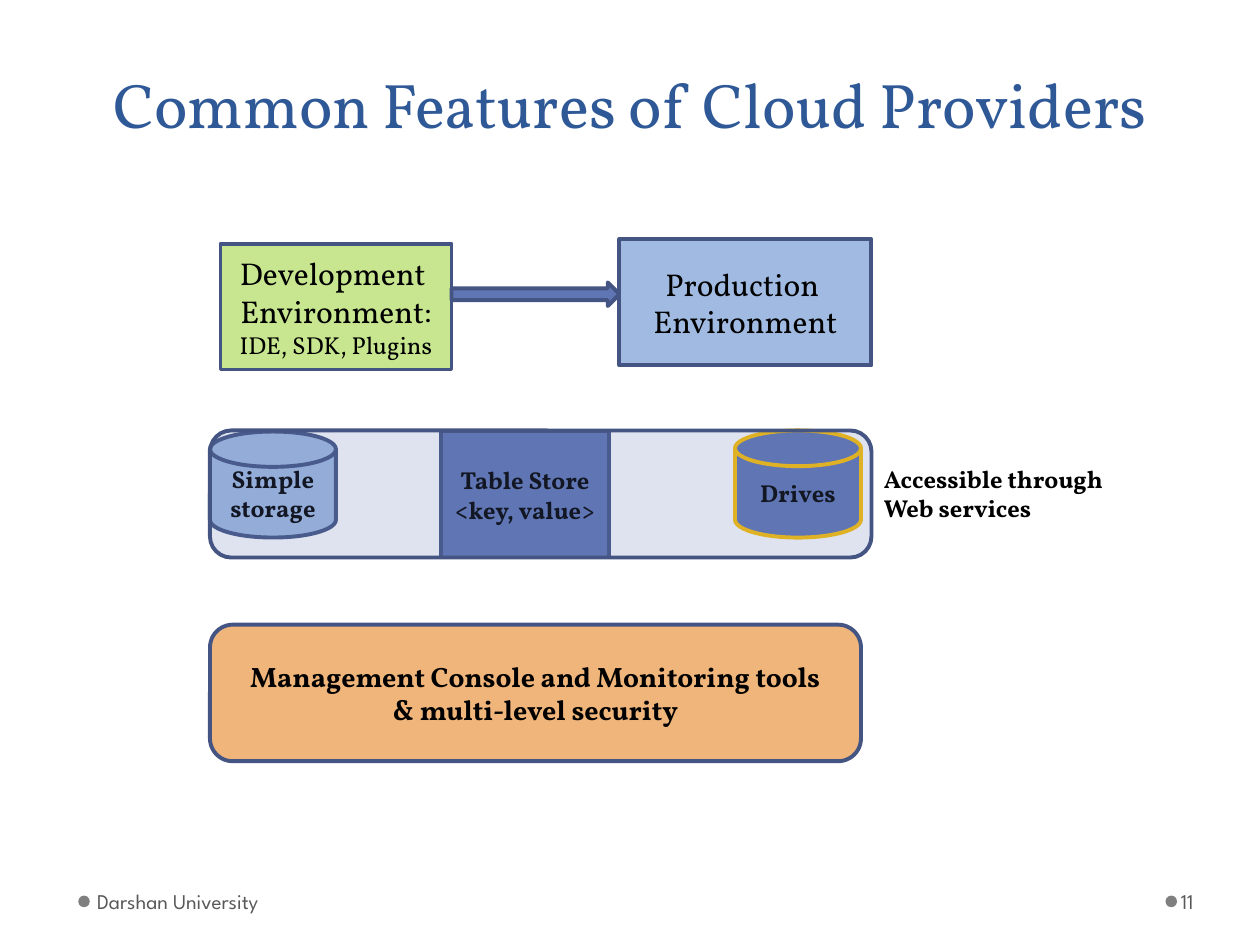
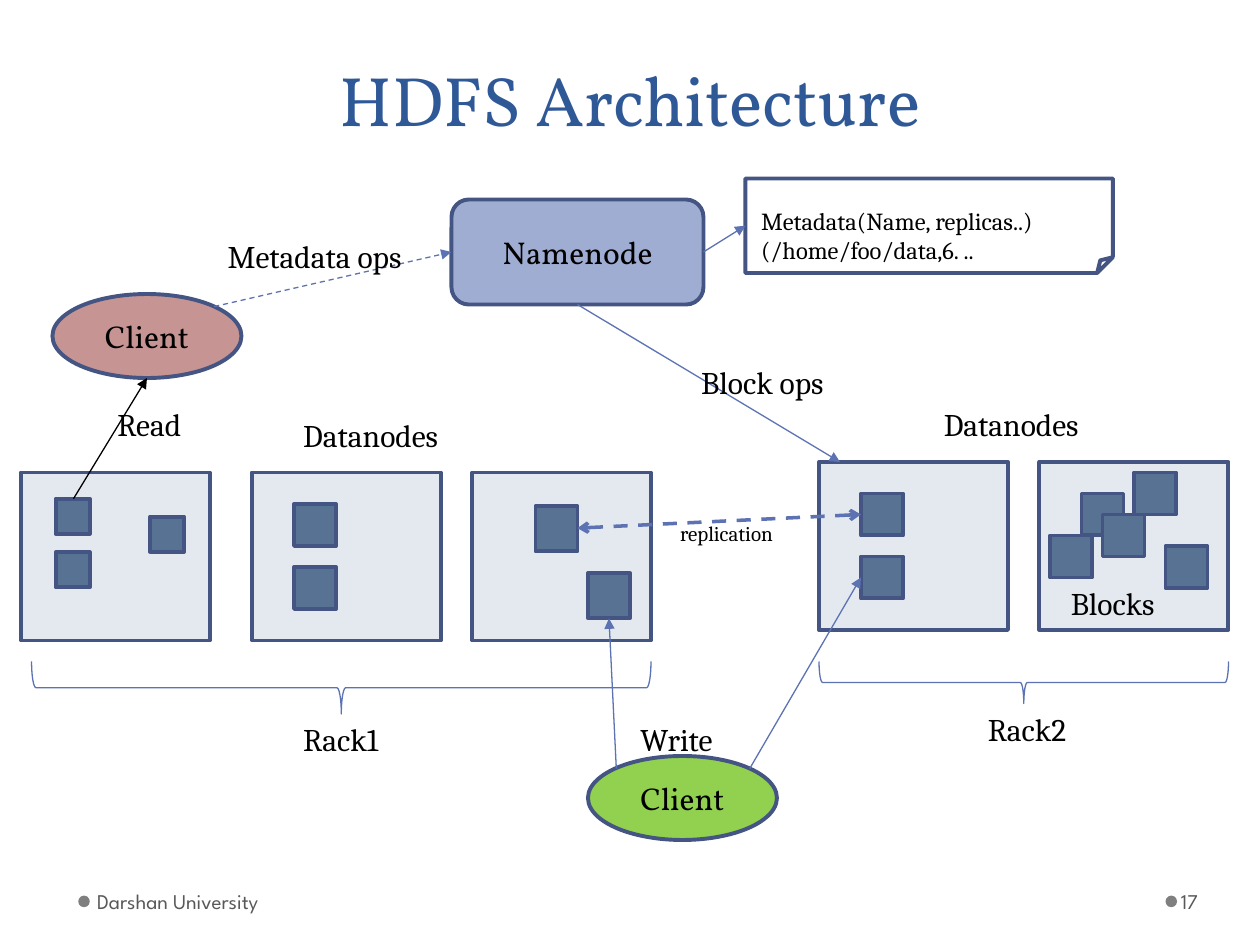
from lxml import etree
from pptx import Presentation
from pptx.dml.color import RGBColor
from pptx.enum.dml import MSO_LINE
from pptx.enum.shapes import MSO_CONNECTOR, MSO_SHAPE
from pptx.enum.text import MSO_ANCHOR, MSO_AUTO_SIZE, PP_ALIGN
from pptx.oxml.ns import qn
from pptx.util import Inches, Pt

RECT, ROUND, OVAL = MSO_SHAPE.RECTANGLE, MSO_SHAPE.ROUNDED_RECTANGLE, MSO_SHAPE.OVAL
DISK, ARROW = MSO_SHAPE.FLOWCHART_MAGNETIC_DISK, MSO_SHAPE.RIGHT_ARROW
NOTE, BRACE = MSO_SHAPE.FOLDED_CORNER, MSO_SHAPE.RIGHT_BRACE
LEFT, CENTER = PP_ALIGN.LEFT, PP_ALIGN.CENTER
TOP, MIDDLE, BOTTOM = MSO_ANCHOR.TOP, MSO_ANCHOR.MIDDLE, MSO_ANCHOR.BOTTOM
STRAIGHT, DASH = MSO_CONNECTOR.STRAIGHT, MSO_LINE.DASH

C = {
    "title": "2F5897", "edge": "445583", "link": "5C72B2", "text": "000000",
    "dot": "7F7F7F", "footer": "595959", "green": "C7E68F", "sky": "A0BAE1",
    "blue": "6076B4", "gold": "FFC000", "orange": "F0B57A", "name": "A0ADD2",
    "rack": "E4E9EF", "block": "577293", "lime": "92D050", "rose": "C79494",
}
SERIF, PLAIN, SANS = "Vollkorn", "Cambria", "League Spartan"

prs = Presentation()
prs.slide_width, prs.slide_height = Inches(10), Inches(7.5)
U = prs.slide_width / 120


def add(s, kind, box, lines=(), fill=None, edge="edge", width=2.25, size=18,
        font=SERIF, color="text", bold=False, wrap=True, anchor=MIDDLE):
    pos = [round(v * U) for v in box]
    if kind is None:
        sp = s.shapes.add_textbox(*pos)
    else:
        sp = s.shapes.add_shape(kind, *pos)
        sp.shadow.inherit = False
        if fill:
            sp.fill.solid()
            sp.fill.fore_color.rgb = RGBColor.from_string(C[fill])
        else:
            sp.fill.background()
        if edge:
            sp.line.color.rgb = RGBColor.from_string(C[edge])
            sp.line.width = Pt(width)
        else:
            sp.line.fill.background()
    tf = sp.text_frame
    tf.word_wrap, tf.vertical_anchor = wrap, anchor
    for i, line in enumerate(lines):
        p = tf.add_paragraph() if i else tf.paragraphs[0]
        p.alignment = LEFT if kind is None else CENTER
        r = p.add_run()
        r.text = line
        for key, value in {"name": font, "size": Pt(size), "bold": bold}.items():
            setattr(r.font, key, value)
        r.font.color.rgb = RGBColor.from_string(C[color])
    return sp


def link(s, start, end, color="link", width=0.75, dash=None, head=None, tail="triangle"):
    cn = s.shapes.add_connector(STRAIGHT, *[round(v * U) for v in start + end])
    cn.line.color.rgb = RGBColor.from_string(C[color])
    cn.line.width = Pt(width)
    if dash:
        cn.line.dash_style = dash
    ln = cn.line._get_or_add_ln()
    for tag, kind in (("a:headEnd", head), ("a:tailEnd", tail)):
        if kind:
            etree.SubElement(ln, qn(tag), type=kind)
    etree.SubElement(cn._element.spPr, qn("a:effectLst"))


slides = []
for title, size, number in (("Common Features of Cloud Providers", 36, "11"),
                            ("HDFS Architecture", 40, "17")):
    s = prs.slides.add_slide(prs.slide_layouts[5])
    slides.append(s)
    sp = s.shapes.title
    sp.left, sp.top, sp.width, sp.height = [round(v * U) for v in (6, 0, 108, 14)]
    tf = sp.text_frame
    for key, value in {"vertical_anchor": BOTTOM, "word_wrap": True,
                       "auto_size": MSO_AUTO_SIZE.NONE}.items():
        setattr(tf, key, value)
    p = tf.paragraphs[0]
    p.alignment, p.line_spacing = CENTER, Pt(58)
    r = p.add_run()
    r.text = title
    r.font.name, r.font.size = SERIF, Pt(size)
    r.font.color.rgb = RGBColor.from_string(C["title"])
    for dot, left, width, inset, text in ((7.45, 8.65, 37.3, 0.05, "Darshan University"),
                                          (111, 112.1, 7.3, 0.03, number)):
        add(s, OVAL, (dot, 85.3, 1.1, 1.1), fill="dot", edge=None)
        sp = add(s, None, (left, 83.4, width, 4.8), [text], size=12, font=SANS, color="footer")
        sp.text_frame.margin_left = Inches(inset)

s = slides[0]
dev = add(s, RECT, (21, 23.2, 22, 12), ["Development ", "Environment: "], "green")
r = dev.text_frame.paragraphs[1].add_run()
r.text = "IDE, SDK, Plugins"
r.font.name, r.font.size = SERIF, Pt(14)
r.font.color.rgb = RGBColor.from_string(C["text"])
add(s, RECT, (59, 22.8, 24, 12), ["Production ", "Environment"], "sky")
add(s, ARROW, (43, 26.9, 16, 2.25), fill="blue")

for kind, box, lines, fill, edge in (
    (DISK, (20, 41.1, 12, 10.1), ["Simple", "storage"], "sky", "edge"),
    (RECT, (42, 41.1, 16, 12), ["Table Store <key, value>"], "blue", "edge"),
    (DISK, (70, 41, 12, 10.2), ["Drives"], "blue", "gold"),
):
    add(s, kind, box, lines, fill, edge, size=14, bold=True)
frame = add(s, ROUND, (20, 41, 63, 12.1), fill="blue")
tint = frame._element.spPr.find(".//" + qn("a:srgbClr"))
etree.SubElement(tint, qn("a:alpha"), val="20000")
add(s, None, (83, 43.6, 23.4, 6.8), ["Accessible through", "Web services"],
    size=14, bold=True, wrap=False, anchor=TOP)
add(s, ROUND, (20, 59.5, 62, 13),
    ["Management Console and Monitoring tools", "& multi-level security"],
    "orange", size=16, bold=True)

s = slides[1]
add(s, ROUND, (43, 19, 24, 10), ["Namenode"], "name")
racks = (
    ((2, 45, 18, 16), (3.25, 3.35), ((5.3, 47.5), (5.3, 52.6), (14.3, 49.2))),
    ((24, 45, 18, 16), (4, 4), ((28, 48), (28, 54))),
    ((45, 45, 17, 16), (4, 4.3), ((51, 48.2), (56, 54.6))),
    ((78, 44, 18, 16), (4, 4), ((82, 47), (82, 53))),
    ((99, 44, 18, 16), (4, 4), ((103, 47), (100, 51), (105, 49), (111, 52), (108, 45))),
)
for box, block, corners in racks:
    add(s, RECT, box, fill="rack")
    for corner in corners:
        add(s, RECT, corner + block, fill="block")

for x, y, w, h in ((3, 63, 59, 5), (78, 63, 39, 4)):
    sp = add(s, BRACE, (x + (w - h) / 2, y + (h - w) / 2, h, w), edge="link", width=0.75)
    sp.rotation = 90

add(s, OVAL, (56, 72, 18, 8), ["Client"], "lime")
add(s, OVAL, (5, 28, 18, 8), ["Client"], "rose")
add(s, NOTE, (71, 17, 35, 9))

link(s, (55, 50.3), (82, 49), width=2, dash=DASH, head="arrow", tail="arrow")
link(s, (7, 47.5), (14, 36), color="text")
link(s, (20.4, 29.2), (43, 24), dash=DASH)
for start, end in (((58.7, 73.2), (58, 58.9)), ((71.4, 73.2), (82, 55)),
                   ((67, 24), (71, 21.5)), ((55, 29), (80, 44))):
    link(s, start, end)

for x, y, w, size, lines in (
    (63.6, 49, 12.7, 12, ["replication"]),
    (27.7, 68, 10.9, 18, ["Rack1"]),
    (92.9, 67, 10.9, 18, ["Rack2"]),
    (100.8, 55, 11.5, 18, ["Blocks"]),
    (27.7, 39, 17.4, 18, ["Datanodes"]),
    (88.7, 38, 17.4, 18, ["Datanodes"]),
    (59.8, 68, 10.5, 18, ["Write"]),
    (10, 38, 9.5, 18, ["Read"]),
    (20.5, 22, 21.5, 18, ["Metadata ops"]),
    (71.3, 19, 32.2, 14, ["Metadata(Name, replicas..)", "(/home/foo/data,6. .."]),
    (65.6, 34, 16, 18, ["Block ops"]),
):
    add(s, None, (x, y, w, 1.2 + size * len(lines) / 5), lines,
        size=size, font=PLAIN, wrap=False, anchor=TOP)

prs.save("out.pptx")
